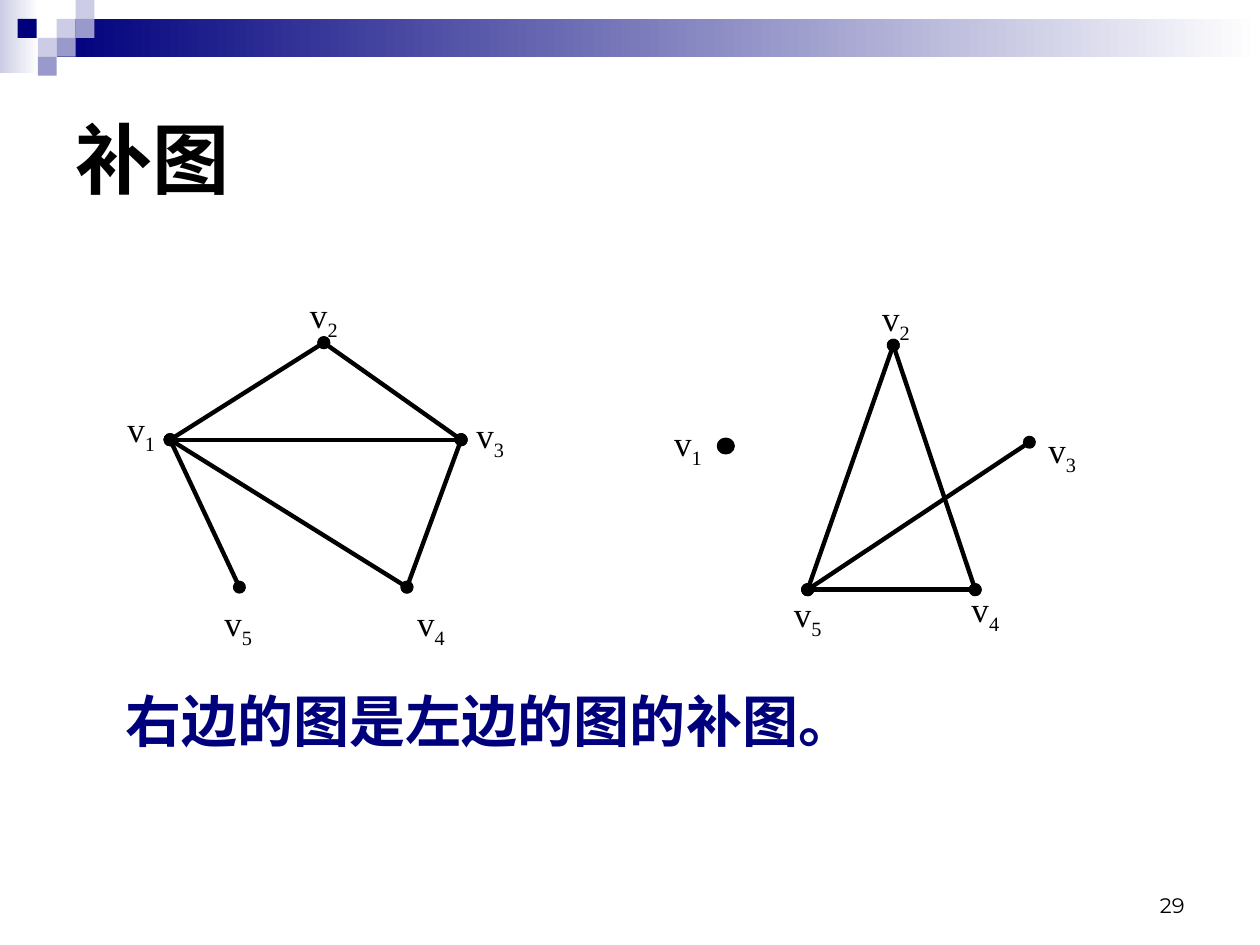
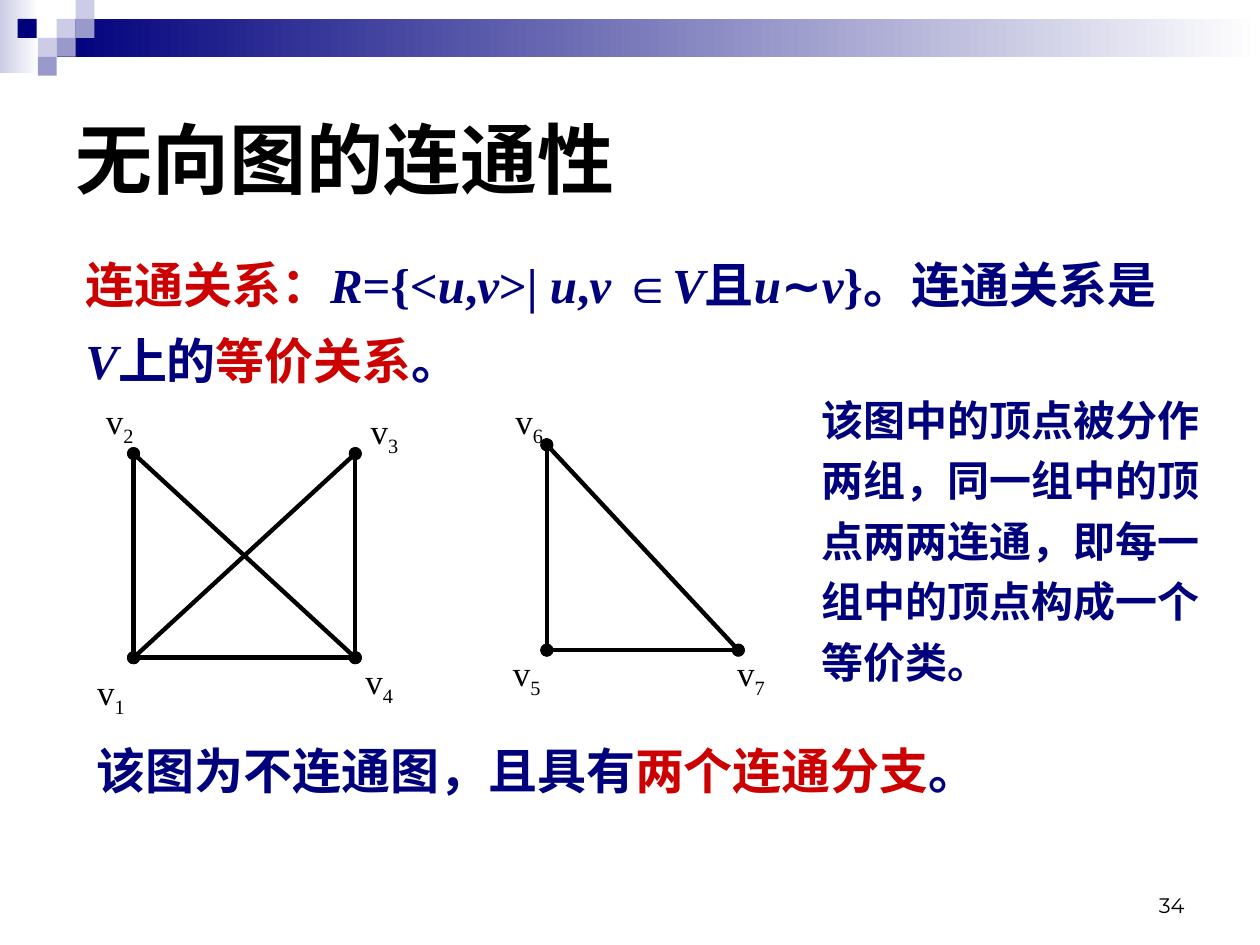
from lxml import etree
from pptx import Presentation
from pptx.dml.color import RGBColor
from pptx.enum.shapes import MSO_CONNECTOR, MSO_SHAPE
from pptx.enum.text import MSO_ANCHOR, PP_ALIGN
from pptx.oxml.ns import qn
from pptx.util import Inches, Pt

STRAIGHT = MSO_CONNECTOR.STRAIGHT
RECTANGLE, DOT = MSO_SHAPE.RECTANGLE, MSO_SHAPE.FLOWCHART_CONNECTOR
TOP, MIDDLE, BOTTOM = MSO_ANCHOR.TOP, MSO_ANCHOR.MIDDLE, MSO_ANCHOR.BOTTOM
LEFT, CENTER, RIGHT = PP_ALIGN.LEFT, PP_ALIGN.CENTER, PP_ALIGN.RIGHT

BLACK = RGBColor(0x00, 0x00, 0x00)
WHITE = RGBColor(0xFF, 0xFF, 0xFF)
NAVY = RGBColor(0x00, 0x00, 0x7D)
RED = RGBColor(0xCC, 0x00, 0x00)
LILAC = RGBColor(0xCC, 0xCC, 0xE6)
VIOLET = RGBColor(0x99, 0x99, 0xCC)

SERIF = "Times New Roman"
STYLES = {
    "title": {"name": "Arial", "bold": True, "color": BLACK},
    "number": {"name": "Montserrat", "color": BLACK},
    "label": {"name": SERIF, "color": BLACK},
    "body": {"name": SERIF, "bold": True, "color": NAVY},
    "key": {"name": SERIF, "bold": True, "color": RED},
    "math": {"name": SERIF, "bold": True, "italic": True, "color": NAVY},
    "symbol": {"name": "Arial", "bold": True, "color": NAVY},
}

BANDS = [((0, 0, 0.31, 0.58), LILAC), ((0.45, 0.15, 9.55, 0.3), NAVY)]
SQUARE = 0.15
SQUARES = [
    (0.45, 0.15, LILAC), (0.6, 0, LILAC), (0.6, 0.15, VIOLET), (0.3, 0.3, LILAC),
    (0.14, 0.15, NAVY), (0.45, 0.3, VIOLET), (0.3, 0.45, VIOLET),
]
LABEL_SIZE = (0.42, 0.29)
DOT_SIZE = (0.11, 0.1)

SLIDES = [
    {
        "title": "补图",
        "number": "29",
        "graphs": [
            {
                "vertices": {
                    "1": ((1.35, 3.49), (0.91, 3.31)),
                    "2": ((2.57, 2.72), (2.36, 2.41)),
                    "3": ((3.66, 3.49), (3.68, 3.36)),
                    "4": ((3.23, 4.66), (3.21, 4.85)),
                    "5": ((1.9, 4.66), (1.68, 4.85)),
                },
                "edges": ["15", "12", "23", "34", "13", "14"],
            },
            {
                "vertices": {
                    "1": ((5.76, 3.54), (5.25, 3.42)),
                    "2": ((7.09, 2.74), (6.9, 2.43)),
                    "3": ((8.17, 3.51), (8.22, 3.48)),
                    "4": ((7.74, 4.68), (7.61, 4.74)),
                    "5": ((6.41, 4.68), (6.2, 4.78)),
                },
                "edges": ["54", "25", "24", "35"],
            },
        ],
        "texts": [
            ((0.9, 5.4, 6.85, 0.64), 32, 1, [("右边的图是左边的图的补图。", "body")]),
        ],
    },
    {
        "title": "无向图的连通性",
        "number": "34",
        "graphs": [
            {
                "vertices": {
                    "1": ((1.06, 5.22), (0.67, 5.4)),
                    "2": ((1.06, 3.6), (0.74, 3.25)),
                    "3": ((2.82, 3.6), (2.84, 3.33)),
                    "4": ((2.82, 5.22), (2.8, 5.31)),
                },
                "edges": ["21", "34", "14", "24", "13"],
            },
            {
                "vertices": {
                    "5": ((4.34, 5.16), (3.97, 5.25)),
                    "6": ((4.34, 3.53), (3.99, 3.25)),
                    "7": ((5.86, 5.16), (5.75, 5.25)),
                },
                "edges": ["57", "65", "67"],
            },
        ],
        "texts": [
            ((0.58, 1.83, 8.74, 1.32), 28, 1.3, [
                ("连通关系：", "key"), ("R", "math"), ("={<", "body"), ("u", "math"),
                (",", "body"), ("v", "math"), (">| ", "body"), ("u", "math"),
                (",", "body"), ("v ", "math"), ("∈", "symbol"), ("V", "math"),
                ("且", "body"), ("u", "math"), ("∼", "symbol"), ("v", "math"),
                ("}。连通关系是", "body"), ("V", "math"), ("上的", "body"),
                ("等价关系", "key"), ("。", "body"),
            ]),
            ((0.67, 5.83, 7.67, 0.57), 28, 1, [
                ("该图为不连通图，且具有", "body"), ("两个连通分支", "key"), ("。", "body"),
            ]),
            ((6.42, 3, 3.25, 2.5), 24, 1.2, [
                ("该图中的顶点被分作两组，同一组中的顶点两两连通，即每一组中的顶点构成一个等价类。", "body"),
            ]),
        ],
    },
]


def add_text(page, place, size, spans, spacing=1, align=LEFT, anchor=TOP, wrap=True):
    box = page.shapes.add_textbox(*map(Inches, place))
    frame = box.text_frame
    frame.word_wrap = wrap
    frame.vertical_anchor = anchor
    para = frame.paragraphs[0]
    para.alignment = align
    para.line_spacing = spacing
    for text, style in spans:
        span = para.add_run()
        span.text = text
        span.font.size = Pt(size)
        for key, value in STYLES[style].items():
            if key == "color":
                span.font.color.rgb = value
            else:
                setattr(span.font, key, value)
    return para


def add_filled(page, kind, place, color, fade=False):
    shape = page.shapes.add_shape(kind, *map(Inches, place))
    shape.shadow.inherit = False
    if fade:
        shape.fill.gradient()
        shape.fill.gradient_angle = 0
        for stop, tone in zip(shape.fill.gradient_stops, (color, WHITE)):
            stop.color.rgb = tone
    else:
        shape.fill.solid()
        shape.fill.fore_color.rgb = color
    shape.line.fill.background()
    return shape


def add_edge(page, start, end):
    edge = page.shapes.add_connector(STRAIGHT, *map(Inches, start + end))
    edge.line.color.rgb = BLACK
    edge.line.width = Pt(2.5)
    outline = edge.line._get_or_add_ln()
    for tag in ("a:headEnd", "a:tailEnd"):
        etree.SubElement(outline, qn(tag), type="oval")
    etree.SubElement(edge._element.spPr, qn("a:effectLst"))


def add_graph(page, graph):
    vertices, edges = graph["vertices"], graph["edges"]
    for start, end in edges:
        add_edge(page, vertices[start][0], vertices[end][0])
    for name, ((x, y), corner) in vertices.items():
        if not any(name in edge for edge in edges):
            width, height = DOT_SIZE
            place = (x - width / 2, y - height / 2, width, height)
            dot = add_filled(page, DOT, place, BLACK)
            dot.line.color.rgb = BLACK
            dot.line.width = Pt(2.5)
        para = add_text(page, corner + LABEL_SIZE, 20, [("v", "label"), (name, "label")],
                        spacing=0.5, align=CENTER, wrap=False)
        para.runs[1]._r.get_or_add_rPr().set("baseline", "-25000")


def add_page(deck, content):
    page = deck.slides.add_slide(deck.slide_layouts[6])
    for place, color in BANDS:
        add_filled(page, RECTANGLE, place, color, fade=True)
    for x, y, color in SQUARES:
        add_filled(page, RECTANGLE, (x, y, SQUARE, SQUARE), color)
    add_text(page, (0.5, 0.5, 9, 1.5), 44, [(content["title"], "title")], anchor=MIDDLE)
    for graph in content["graphs"]:
        add_graph(page, graph)
    for place, size, spacing, spans in content["texts"]:
        add_text(page, place, size, spans, spacing)
    add_text(page, (7.17, 6.83, 2.33, 0.5), 12, [(content["number"], "number")],
             align=RIGHT, anchor=BOTTOM)


def main():
    deck = Presentation()
    deck.slide_width, deck.slide_height = Inches(10), Inches(7.5)
    for content in SLIDES:
        add_page(deck, content)
    deck.save("out.pptx")


if __name__ == "__main__":
    main()
